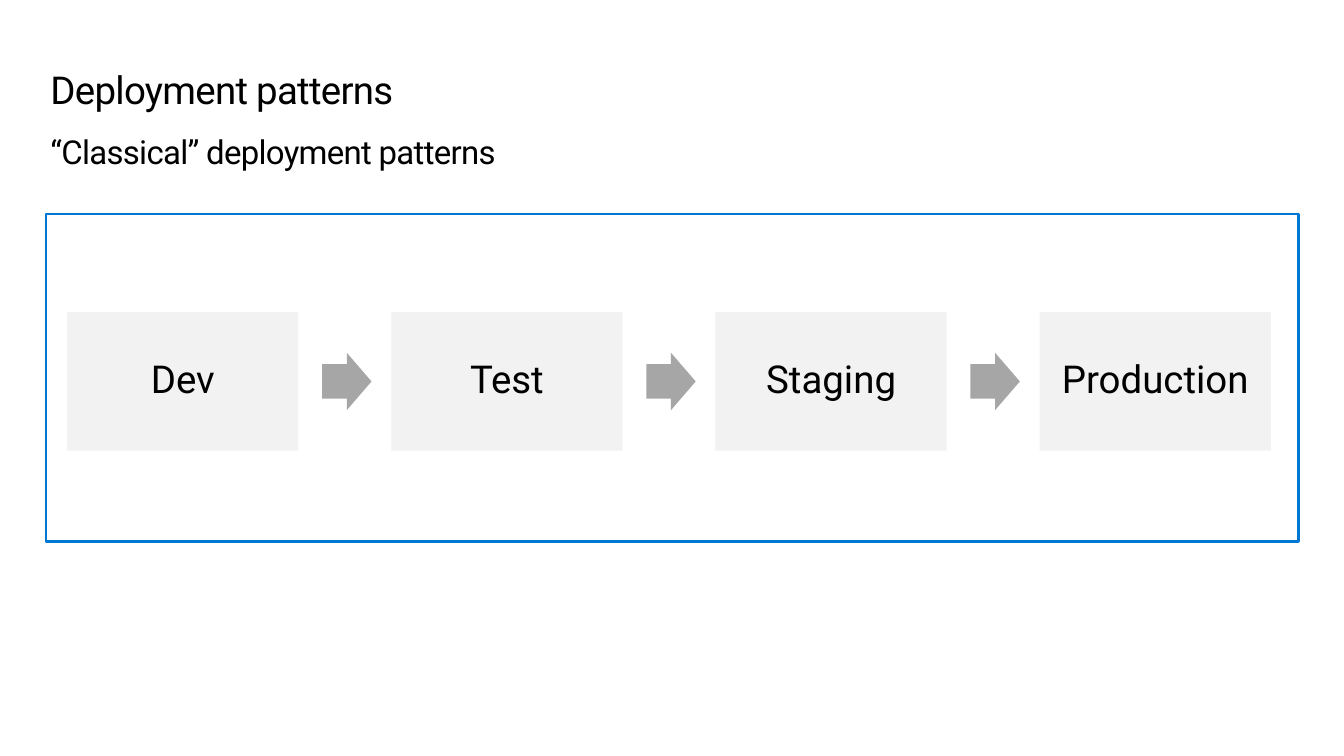
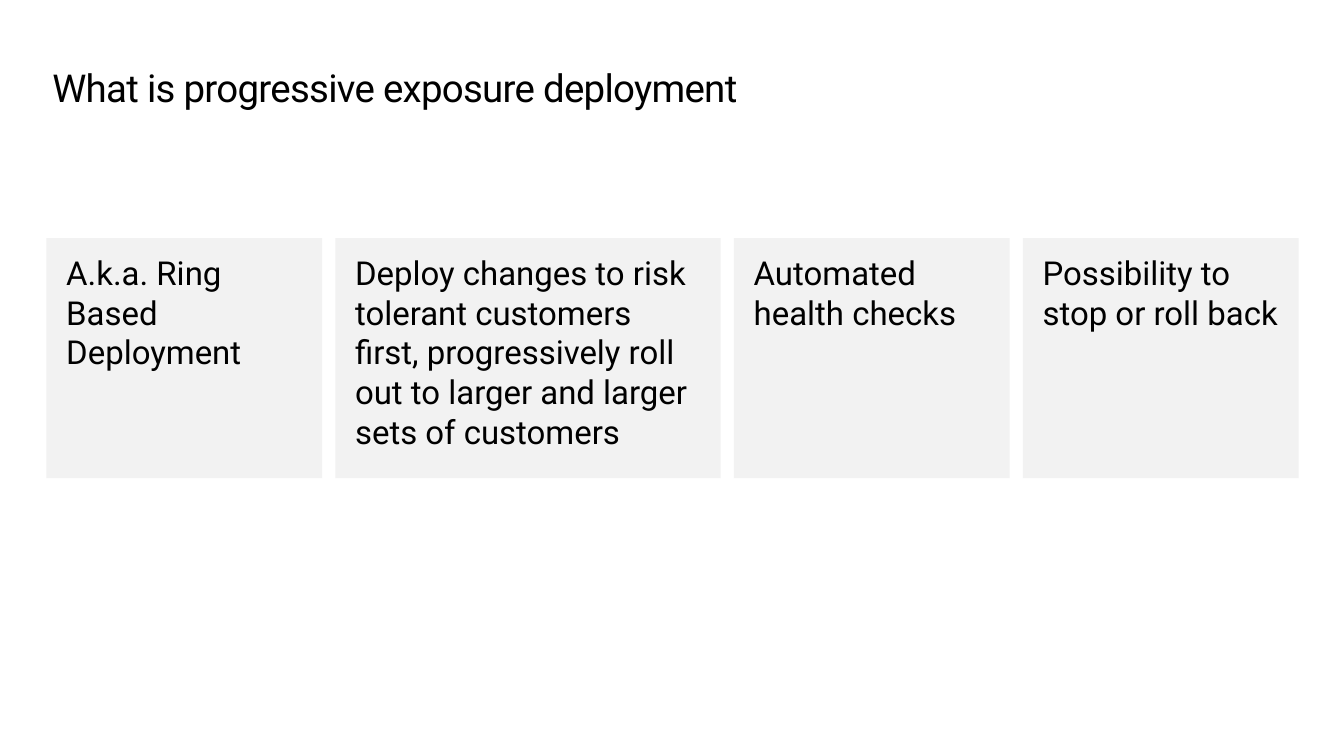
"""Build two slides on deployment patterns."""
import pptx
import pptx.dml.color
import pptx.enum.shapes
import pptx.enum.text
import pptx.util

Inches = pptx.util.Inches
Pt = pptx.util.Pt
SHAPE = pptx.enum.shapes.MSO_SHAPE
ALIGN = pptx.enum.text.PP_ALIGN
ANCHOR = pptx.enum.text.MSO_ANCHOR

FONT = "Roboto"
BLACK, PANEL, ARROW, BLUE = "000000", "F2F2F2", "A6A6A6", "0078D3"
FRAME_LEFT, FRAME_WIDTH = 0.47, 12.67

STAGES = ["Dev", "Test", "Staging", "Production"]
STAGE_LEFT, STAGE_TOP, STAGE_WIDTH, STAGE_HEIGHT = 0.68, 3.16, 2.34, 1.4
STAGE_STEP = 3.28
ARROW_OFFSET, ARROW_WIDTH, ARROW_HEIGHT = 2.58, 0.5, 0.58

CARDS = [
    ("A.k.a. Ring Based Deployment", 2.79),
    ("Deploy changes to risk tolerant customers first, progressively roll "
     "out to larger and larger sets of customers", 3.9),
    ("Automated health checks", 2.79),
    ("Possibility to stop or roll back", 2.79),
]
CARD_TOP, CARD_HEIGHT = 2.41, 2.43


def color(value):
    return pptx.dml.color.RGBColor.from_string(value)


def write(shape, text, size, insets=(0, 0), align=ALIGN.LEFT,
          anchor=ANCHOR.TOP, line_spacing=None, tracking=None):
    frame = shape.text_frame
    frame.word_wrap = True
    frame.auto_size = pptx.enum.text.MSO_AUTO_SIZE.NONE
    frame.vertical_anchor = anchor
    frame.margin_left = frame.margin_right = Inches(insets[0])
    frame.margin_top = frame.margin_bottom = Inches(insets[1])
    para = frame.paragraphs[0]
    para.alignment = align
    para.line_spacing = line_spacing
    span = para.add_run()
    span.text = text
    span.font.name = FONT
    span.font.size = Pt(size)
    span.font.color.rgb = color(BLACK)
    if tracking is not None:
        span._r.get_or_add_rPr().set("spc", str(round(tracking * 100)))


def add_block(page, kind, left, top, width, height, fill=None, line=None):
    block = page.shapes.add_shape(
        kind, Inches(left), Inches(top), Inches(width), Inches(height))
    block.shadow.inherit = False
    if fill:
        block.fill.solid()
        block.fill.fore_color.rgb = color(fill)
    else:
        block.fill.background()
    if line:
        block.line.color.rgb = color(line)
        block.line.width = Pt(1.5)
    else:
        block.line.fill.background()
    return block


def add_page(deck, title, left, top):
    page = deck.slides.add_slide(deck.slide_layouts[5])
    heading = page.shapes.title
    heading.left, heading.top = Inches(left), Inches(top)
    heading.width, heading.height = Inches(12.61), Inches(0.45)
    write(heading, title, 28, line_spacing=Pt(32), tracking=-0.5)
    return page


def build_patterns(deck):
    page = add_page(deck, "Deployment patterns", 0.51, 0.69)
    subtitle = page.shapes.add_textbox(
        Inches(0.51), Inches(1.33), Inches(12.29), Inches(0.4))
    write(subtitle, "“Classical” deployment patterns", 24, tracking=-0.5)
    add_block(page, SHAPE.RECTANGLE, FRAME_LEFT, 2.17, FRAME_WIDTH, 3.31,
              line=BLUE)
    arrow_top = STAGE_TOP + (STAGE_HEIGHT - ARROW_HEIGHT) / 2
    for index, stage in enumerate(STAGES):
        left = STAGE_LEFT + index * STAGE_STEP
        box = add_block(page, SHAPE.RECTANGLE, left, STAGE_TOP, STAGE_WIDTH,
                        STAGE_HEIGHT, fill=PANEL)
        write(box, stage, 28, (0.12, 0.12), ALIGN.CENTER, ANCHOR.MIDDLE,
              line_spacing=0.9)
        if index < len(STAGES) - 1:
            arrow = add_block(page, SHAPE.RIGHT_ARROW, left + ARROW_OFFSET,
                              arrow_top, ARROW_WIDTH, ARROW_HEIGHT, fill=ARROW)
            arrow.adjustments[0] = 0.6
            arrow.adjustments[1] = 0.5


def build_exposure(deck):
    page = add_page(deck, "What is progressive exposure deployment", 0.53, 0.67)
    free_width = FRAME_WIDTH - sum(width for _, width in CARDS)
    gap = free_width / (len(CARDS) - 1)
    left = FRAME_LEFT
    for text, width in CARDS:
        card = add_block(page, SHAPE.RECTANGLE, left, CARD_TOP, width,
                         CARD_HEIGHT, fill=PANEL)
        write(card, text, 24, (0.2, 0.15))
        left += width + gap


def main():
    deck = pptx.Presentation()
    deck.slide_width, deck.slide_height = Inches(13.6), Inches(7.65)
    build_patterns(deck)
    build_exposure(deck)
    deck.save("out.pptx")


if __name__ == "__main__":
    main()
